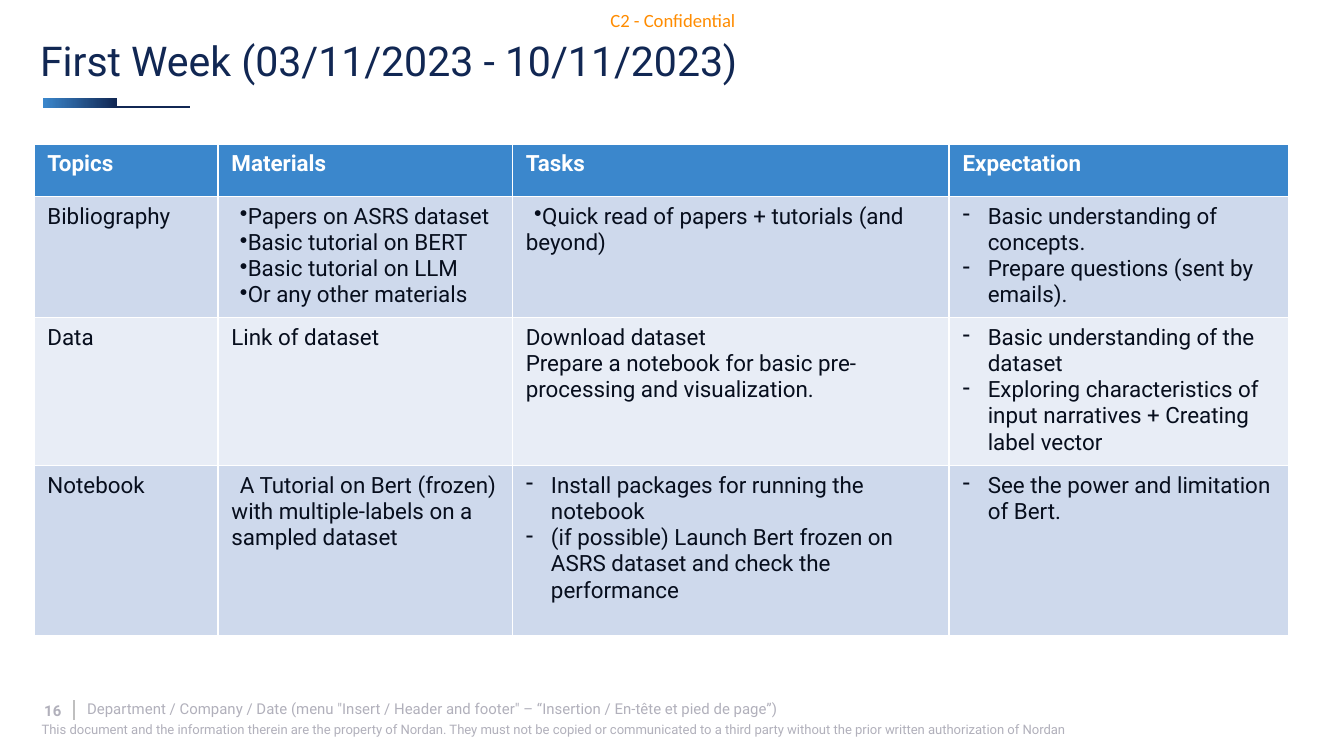
from lxml.etree import SubElement
from pptx import Presentation
from pptx.dml.color import RGBColor
from pptx.enum.shapes import MSO_CONNECTOR, MSO_SHAPE
from pptx.enum.text import MSO_ANCHOR, PP_ALIGN
from pptx.oxml.ns import qn
from pptx.util import Pt

NAVY = RGBColor(0x11, 0x27, 0x53)
BLUE = RGBColor(0x3B, 0x87, 0xCC)
INK = RGBColor(0x07, 0x0E, 0x1D)
WHITE = RGBColor(0xFF, 0xFF, 0xFF)
DARK_BAND = RGBColor(0xCE, 0xD9, 0xEC)
LIGHT_BAND = RGBColor(0xE8, 0xED, 0xF6)
GREY = RGBColor(0xB1, 0xB0, 0xBB)
RULE_GREY = RGBColor(0xBF, 0xBF, 0xBF)
ORANGE = RGBColor(0xFF, 0x8C, 0x00)

COLUMN_WIDTHS = [98.6, 157.7, 234, 182.2]
ROW_HEIGHTS = [28.4, 64.3, 77.1, 91]
HEADINGS = ["Topics", "Materials", "Tasks", "Expectation"]
TOPICS = [
    [
        ("plain", ["Bibliography"]),
        ("dot", ["Papers on ASRS dataset", "Basic tutorial on BERT",
                 "Basic tutorial on LLM", "Or any other materials"]),
        ("dot", ["Quick read of papers + tutorials (and beyond)"]),
        ("dash", ["Basic understanding of concepts.",
                  "Prepare questions (sent by emails)."]),
    ],
    [
        ("plain", ["Data"]),
        ("plain", ["Link of dataset"]),
        ("plain", ["Download dataset",
                   "Prepare a notebook for basic pre-processing and visualization."]),
        ("dash", ["Basic understanding of the dataset",
                  "Exploring characteristics of input narratives + Creating label vector"]),
    ],
    [
        ("plain", ["Notebook"]),
        ("indent", ["A Tutorial on Bert (frozen) with multiple-labels on a sampled dataset"]),
        ("dash", ["Install packages for running the notebook",
                  "(if possible) Launch Bert frozen on ASRS dataset and check the performance"]),
        ("dash", ["See the power and limitation of Bert."]),
    ],
]
LIST_STYLES = {
    "plain": (0, 0, 0, None),
    "indent": (1, 0, 4.5, None),
    "dot": (1, 0, 4.5, "•"),
    "dash": (0, 13.5, -13.5, "-"),
}


def add_span(para, text, size, color, bold=False, font="Roboto"):
    """Add one formatted run to a paragraph."""
    span = para.add_run()
    span.text = text
    span.font.name = font
    span.font.size = Pt(size)
    span.font.bold = bold
    span.font.color.rgb = color


def add_label(page, bounds, text, size, color, bold=False, font="Roboto",
              inset=(0, 0), align=PP_ALIGN.LEFT, anchor=MSO_ANCHOR.MIDDLE, wrap=True):
    """Add a one-paragraph text box."""
    box = page.shapes.add_textbox(*map(Pt, bounds))
    frame = box.text_frame
    frame.word_wrap = wrap
    frame.vertical_anchor = anchor
    frame.margin_left = frame.margin_right = Pt(inset[0])
    frame.margin_top = frame.margin_bottom = Pt(inset[1])
    para = frame.paragraphs[0]
    para.alignment = align
    add_span(para, text, size, color, bold, font)


def add_rule(page, start, end, color, width):
    """Draw a straight line without a shadow."""
    rule = page.shapes.add_connector(MSO_CONNECTOR.STRAIGHT, *map(Pt, start + end))
    rule.line.color.rgb = color
    rule.line.width = Pt(width)
    SubElement(rule.element.spPr, qn("a:effectLst"))


def add_header(page, left, top, width):
    """Place the confidentiality mark, the title and its accent."""
    add_label(page, (left + 301, top, 90, 21), "C2 - Confidential", 10, ORANGE,
              font="Calibri", align=PP_ALIGN.CENTER)
    add_label(page, (left, top + 15, width, 34), "First Week (03/11/2023 - 10/11/2023)",
              22, NAVY, inset=(7.2, 3.6))
    add_rule(page, (left + 8.8, top + 57.4), (left + 87.4, top + 57.4), NAVY, 1)
    accent = page.shapes.add_shape(MSO_SHAPE.RECTANGLE, Pt(left + 8.8), Pt(top + 52.5),
                                   Pt(39.4), Pt(5.4))
    accent.shadow.inherit = False
    accent.line.fill.background()
    accent.fill.gradient()
    accent.fill.gradient_angle = 0
    for stop, color, position in zip(accent.fill.gradient_stops, (BLUE, NAVY), (0, 1)):
        stop.color.rgb = color
        stop.position = position


def style_paragraph(para, style):
    """Set the level, indent and bullet of a table paragraph."""
    level, margin, indent, bullet = LIST_STYLES[style]
    para.level = level
    properties = para._p.get_or_add_pPr()
    properties.set("marL", str(Pt(margin)))
    properties.set("indent", str(Pt(indent)))
    if bullet:
        color = SubElement(properties, qn("a:buClr"))
        SubElement(color, qn("a:srgbClr"), val=str(INK))
        SubElement(properties, qn("a:buChar"), char=bullet)
    else:
        SubElement(properties, qn("a:buNone"))


def fill_cell(cell, style, lines, fill, color, bold=False):
    """Fill a table cell with styled paragraphs."""
    cell.fill.solid()
    cell.fill.fore_color.rgb = fill
    frame = cell.text_frame
    for index, line in enumerate(lines):
        para = frame.add_paragraph() if index else frame.paragraphs[0]
        style_paragraph(para, style)
        add_span(para, line, 12, color, bold)


def add_plan_table(page, left, top):
    """Place the weekly plan table."""
    table = page.shapes.add_table(
        len(ROW_HEIGHTS), len(COLUMN_WIDTHS), Pt(left), Pt(top),
        Pt(sum(COLUMN_WIDTHS)), Pt(sum(ROW_HEIGHTS))).table
    for column, width in zip(table.columns, COLUMN_WIDTHS):
        column.width = Pt(width)
    for row, height in zip(table.rows, ROW_HEIGHTS):
        row.height = Pt(height)
    for column, heading in enumerate(HEADINGS):
        fill_cell(table.cell(0, column), "plain", [heading], BLUE, WHITE, True)
    for row, topic in enumerate(TOPICS, 1):
        band = DARK_BAND if row % 2 else LIGHT_BAND
        for column, (style, lines) in enumerate(topic):
            fill_cell(table.cell(row, column), style, lines, band, INK)


def add_footer(page, left, top):
    """Place the page number, the department line and the ownership notice."""
    add_rule(page, (left + 17.3, top + 0.7), (left + 17.3, top + 11.5), RULE_GREY, 0.75)
    add_label(page, (left + 1.4, top + 1.4, 15.1, 9.4), "16", 8, GREY, True, wrap=False)
    add_label(page, (left + 17.3, top, 528.5, 10.1),
              'Department / Company / Date (menu "Insert / Header and footer" – '
              "“Insertion / En-tête et pied de page”)", 8, GREY, inset=(7.2, 3.6))
    add_label(page, (left, top + 12.2, 559.4, 8.6),
              "This document and the information therein are the property of Nordan. "
              "They must not be copied or communicated to a third party without the "
              "prior written authorization of Nordan", 7, GREY, anchor=MSO_ANCHOR.TOP)


def main():
    """Build and save the slide."""
    deck = Presentation()
    deck.slide_width = Pt(720)
    deck.slide_height = Pt(405)
    page = deck.slides.add_slide(deck.slide_layouts[6])
    add_header(page, 14.4, 0, 674)
    add_plan_table(page, 18.2, 77)
    add_footer(page, 22.3, 374.4)
    deck.save("out.pptx")


if __name__ == "__main__":
    main()
